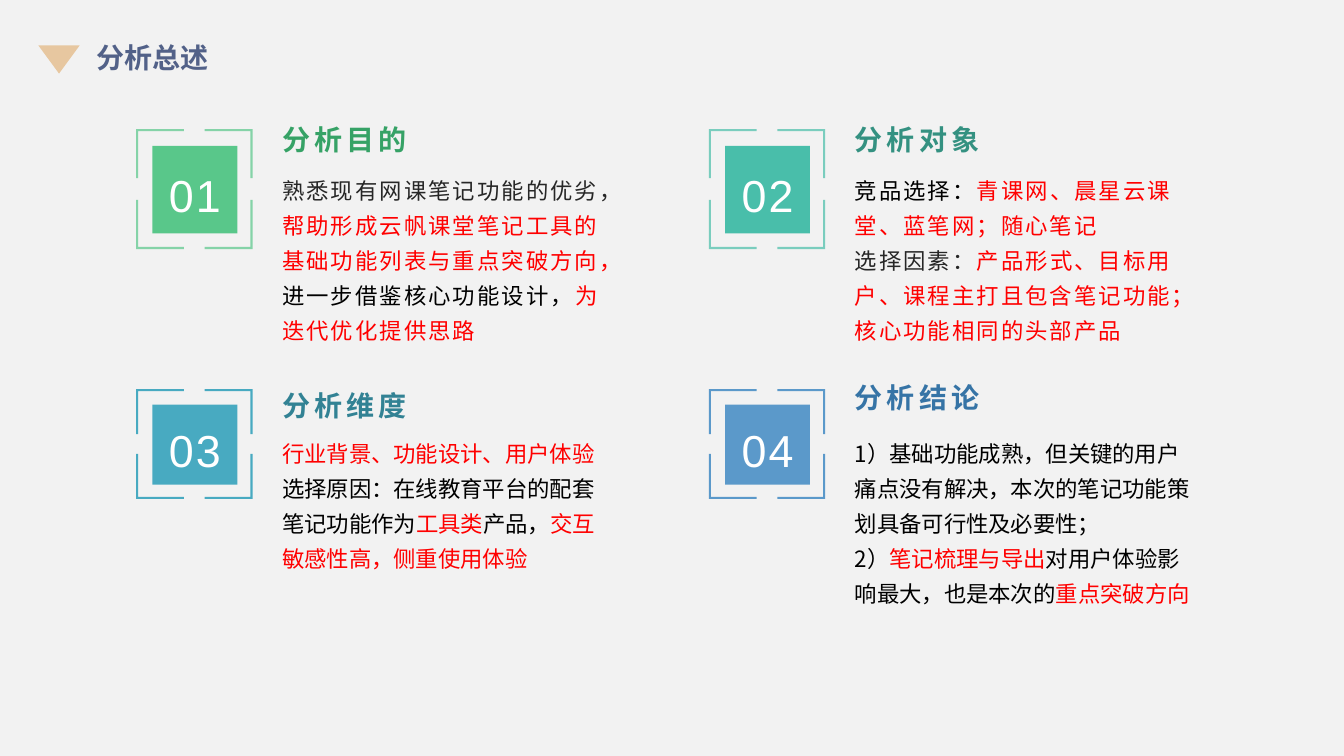
"""Build the analysis overview slide: four numbered cards in a two by two grid."""
from dataclasses import dataclass
from itertools import product

from lxml.etree import SubElement
from pptx import Presentation
from pptx.dml.color import RGBColor
from pptx.enum.shapes import MSO_SHAPE as Preset
from pptx.enum.text import MSO_ANCHOR as Anchor, PP_ALIGN as Align
from pptx.oxml.ns import qn
from pptx.util import Emu, Inches, Pt

SLIDE_WIDTH, SLIDE_HEIGHT = Inches(13.33), Inches(7.5)
CJK, LATIN = "Noto Sans CJK SC", "Arial"
COLORS = {
    "background": "F2F2F2", "marker": "E7C7A0", "title": "526188",
    "white": "FFFFFF", "black": "000000", "dark": "262626", "red": "FF0000",
    "green": "59C78A", "green_heading": "36A266",
    "teal": "49BEAA", "teal_heading": "349181",
    "cyan": "48AAC1", "cyan_heading": "328294",
    "blue": "5B99CA", "blue_heading": "3674A6",
}

FIRST_COLUMN, COLUMN_PITCH = 10.13, 42.61
FRAME_WIDTH, TEXT_OFFSET, HEADING_WIDTH = 8.66, 10.12, 23.71
ARM_SHARE, TILE_INSET, TILE_SHARE = 0.41, 0.14, 0.73
FRAME_THICKNESS = Inches(0.02)


@dataclass(frozen=True)
class Row:
    frame_top: float
    frame_height: float
    heading_height: float
    body_top: float
    frame_alpha: int
    spacing: float


@dataclass(frozen=True)
class Card:
    number: str
    column: int
    row: int
    accent: str
    heading: str
    heading_top: float
    body_size: tuple[float, float]
    body: list[list[tuple[str, str]]]


ROWS = [
    Row(17.07, 15.87, 6.93, 21.73, 71, 1.5),
    Row(51.47, 14.53, 6.27, 56.53, 100, 0),
]
CARDS = [
    Card("01", 0, 0, "green", "分析目的", 14.53, (26.03, 15.73), [
        [("熟悉现有网课笔记功能的优劣，", "dark"),
         ("帮助形成云帆课堂笔记工具的基础功能列表与重点突破方向，", "red"),
         ("进一步借鉴核心功能设计，", "black"),
         ("为迭代优化提供思路", "red")]]),
    Card("02", 1, 0, "teal", "分析对象", 14.53, (26.48, 15.73), [
        [("竞品选择：", "black"),
         ("青课网、晨星云课堂、蓝笔网；随心笔记", "red")],
        [("选择因素：", "dark"),
         ("产品形式、目标用户、课程主打且包含笔记功能；核心功能相同的头部产品", "red")]]),
    Card("03", 0, 1, "cyan", "分析维度", 50, (26.03, 14.4), [
        [("行业背景、功能设计、用户体验", "red")],
        [("选择原因：在线教育平台的配套笔记功能作为", "black"),
         ("工具类", "red"), ("产品，", "black"),
         ("交互敏感性高，侧重使用体验", "red")]]),
    Card("04", 1, 1, "blue", "分析结论", 48.93, (26.56, 25.07), [
        [("1）基础功能成熟，但关键的用户痛点没有解决，"
          "本次的笔记功能策划具备可行性及必要性；", "black")],
        [("2）", "black"), ("笔记梳理与导出", "red"),
         ("对用户体验影响最大，也是本次的", "black"),
         ("重点突破方向", "red")]]),
]


def across(percent: float) -> Emu:
    return Emu(round(SLIDE_WIDTH * percent / 100))


def down(percent: float) -> Emu:
    return Emu(round(SLIDE_HEIGHT * percent / 100))


def box(left: float, top: float, width: float, height: float) -> tuple:
    return across(left), down(top), across(width), down(height)


def color(name: str) -> RGBColor:
    return RGBColor.from_string(COLORS[name])


def paint(shape, name: str) -> None:
    shape.shadow.inherit = False
    shape.fill.solid()
    shape.fill.fore_color.rgb = color(name)
    shape.line.fill.background()


def style(paragraph, size: float, face: str, tint: str, bold: bool = False,
          spacing: float = 0, line: float = 1, align=Align.LEFT) -> None:
    paragraph.alignment = align
    paragraph.line_spacing = line
    font = paragraph.font
    font.size, font.bold = Pt(size), bold
    font.color.rgb = color(tint)
    font.name = face
    defaults = paragraph._p.pPr.find(qn("a:defRPr"))
    defaults.set("spc", str(round(spacing * 100)))
    SubElement(defaults, qn("a:ea")).set("typeface", CJK)


def draw_title(slide) -> None:
    marker = slide.shapes.add_shape(Preset.ISOSCELES_TRIANGLE, *box(2.85, 6, 3.08, 3.73))
    marker.rotation = 180
    paint(marker, "marker")
    title = slide.shapes.title
    title.left, title.top, title.width, title.height = box(6.45, 4.67, 13.43, 5.87)
    title.text_frame.text = "分析总述"
    title.text_frame.vertical_anchor = Anchor.TOP
    style(title.text_frame.paragraphs[0], 20, CJK, "title", bold=True)


def draw_frame(slide, card: Card, left: float, row: Row) -> None:
    x, y, width, height = box(left, row.frame_top, FRAME_WIDTH, row.frame_height)
    builder = slide.shapes.build_freeform(x, y, scale=1.0)
    for right, bottom in product((0, 1), repeat=2):
        corner_x, corner_y = x + right * width, y + bottom * height
        toward_x, toward_y = 1 - 2 * right, 1 - 2 * bottom
        arm_x = corner_x + toward_x * ARM_SHARE * width
        arm_y = corner_y + toward_y * ARM_SHARE * height
        inner_x = corner_x + toward_x * FRAME_THICKNESS
        inner_y = corner_y + toward_y * FRAME_THICKNESS
        builder.move_to(corner_x, corner_y)
        builder.add_line_segments([
            (arm_x, corner_y), (arm_x, inner_y), (inner_x, inner_y),
            (inner_x, arm_y), (corner_x, arm_y)], close=True)
    frame = builder.convert_to_shape()
    paint(frame, card.accent)
    if row.frame_alpha < 100:
        tint = frame._element.spPr.find(qn("a:solidFill"))[0]
        SubElement(tint, qn("a:alpha")).set("val", str(row.frame_alpha * 1000))


def draw_tile(slide, card: Card, left: float, row: Row) -> None:
    tile = slide.shapes.add_shape(Preset.RECTANGLE, *box(
        left + TILE_INSET * FRAME_WIDTH, row.frame_top + TILE_INSET * row.frame_height,
        TILE_SHARE * FRAME_WIDTH, TILE_SHARE * row.frame_height))
    paint(tile, card.accent)
    tile.text_frame.text = card.number
    tile.text_frame.vertical_anchor = Anchor.MIDDLE
    style(tile.text_frame.paragraphs[0], 32, LATIN, "white",
          spacing=1.5, line=1.2, align=Align.CENTER)


def draw_texts(slide, card: Card, left: float, row: Row) -> None:
    heading = slide.shapes.add_textbox(
        *box(left, card.heading_top, HEADING_WIDTH, row.heading_height)).text_frame
    heading.word_wrap = True
    heading.vertical_anchor = Anchor.MIDDLE
    heading.text = card.heading
    style(heading.paragraphs[0], 20, LATIN, f"{card.accent}_heading",
          bold=True, spacing=3, line=1.2)

    body = slide.shapes.add_textbox(*box(left, row.body_top, *card.body_size)).text_frame
    body.word_wrap = True
    for index, phrases in enumerate(card.body):
        paragraph = body.add_paragraph() if index else body.paragraphs[0]
        style(paragraph, 16, CJK, "black", spacing=row.spacing, line=1.3)
        for words, tint in phrases:
            run = paragraph.add_run()
            run.text = words
            run.font.color.rgb = color(tint)


def main() -> None:
    deck = Presentation()
    deck.slide_width, deck.slide_height = SLIDE_WIDTH, SLIDE_HEIGHT
    slide = deck.slides.add_slide(deck.slide_layouts[5])
    slide.background.fill.solid()
    slide.background.fill.fore_color.rgb = color("background")
    draw_title(slide)
    for card in CARDS:
        left, row = FIRST_COLUMN + card.column * COLUMN_PITCH, ROWS[card.row]
        draw_tile(slide, card, left, row)
        draw_frame(slide, card, left, row)
        draw_texts(slide, card, left + TEXT_OFFSET, row)
    deck.save("out.pptx")


if __name__ == "__main__":
    main()
